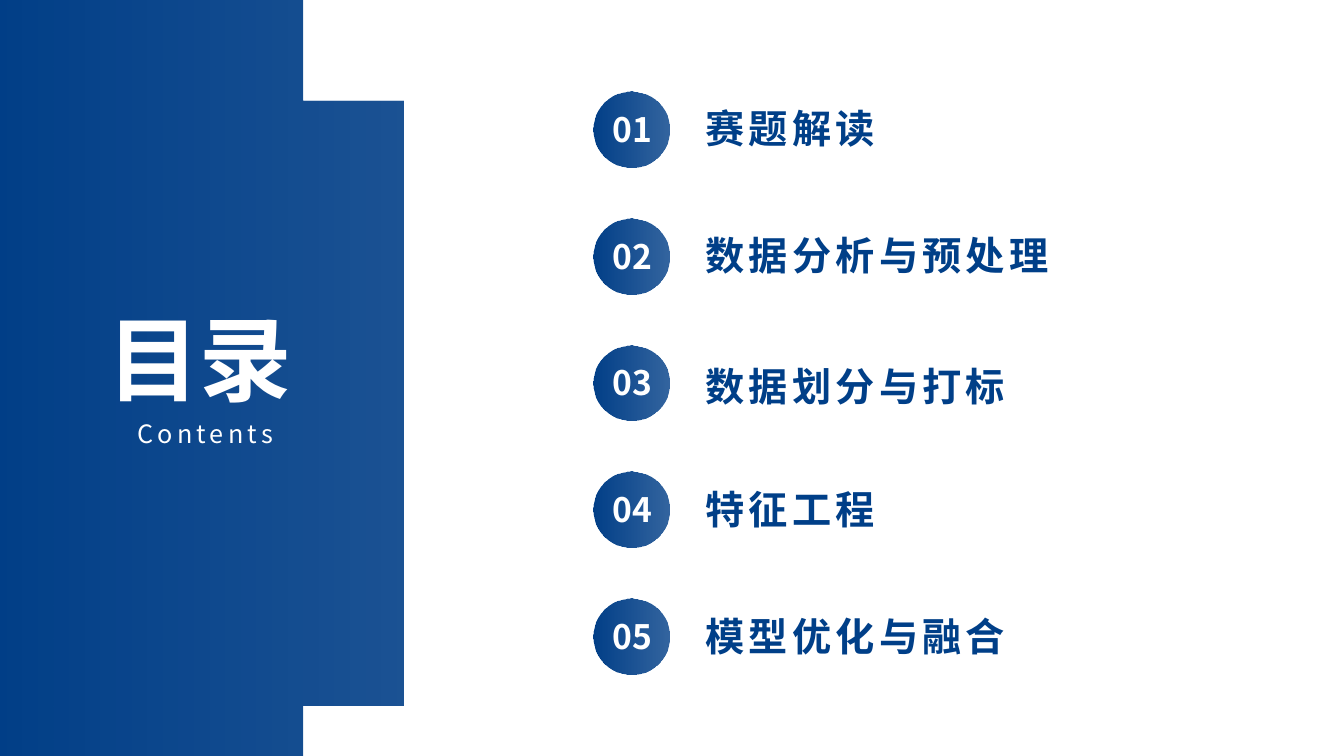
from lxml import etree
from pptx import Presentation
from pptx.dml.color import RGBColor
from pptx.enum.shapes import MSO_SHAPE
from pptx.enum.text import MSO_ANCHOR, MSO_AUTO_SIZE, PP_ALIGN
from pptx.oxml.ns import qn
from pptx.util import Inches, Pt

OVAL = MSO_SHAPE.OVAL
TOP = MSO_ANCHOR.TOP
GROW = MSO_AUTO_SIZE.SHAPE_TO_FIT_TEXT
LEFT, CENTER = PP_ALIGN.LEFT, PP_ALIGN.CENTER
NAVY = RGBColor(0x00, 0x3F, 0x88)
WHITE = RGBColor(0xFF, 0xFF, 0xFF)
FONT = "Noto Sans CJK SC"


def fade_navy(shape, opacity):
    """Solid navy on the left, fading to the given opacity on the right."""
    shape.shadow.inherit = False
    shape.line.fill.background()
    shape.fill.gradient()
    shape.fill.gradient_angle = 180
    for stop in shape.fill.gradient_stops:
        stop.color.rgb = NAVY
    right_color = shape._element.xpath(".//a:gs/a:srgbClr")[0]
    etree.SubElement(right_color, qn("a:alpha"), val=str(opacity * 1000))


def write(box, text, align, wrap, spacing, font_format):
    """Fill a box with one formatted line."""
    frame = box.text_frame
    frame.text = text
    frame.word_wrap = wrap
    frame.auto_size = GROW
    frame.vertical_anchor = TOP
    line = frame.paragraphs[0]
    line.alignment = align
    run = line.runs[0]
    for attribute, value in font_format.items():
        setattr(run.font, attribute, value)
    run.font.name = FONT
    properties = run._r.get_or_add_rPr()
    properties.set("spc", str(spacing * 100))
    etree.SubElement(properties, qn("a:ea"), typeface=FONT)


prs = Presentation()
prs.slide_width, prs.slide_height = Inches(13.33), Inches(7.5)
slide = prs.slides.add_slide(prs.slide_layouts[5])

# Curved panel: two Bezier arcs, mirrored about the middle of the slide
upper_arc = [(3.13, 0.01), (3.82, 0.94), (4.25, 2.27), (4.25, 3.75)]
STEPS = 40
upper_edge = []
for step in range(STEPS + 1):
    t = step / STEPS
    weights = ((1 - t) ** 3, 3 * t * (1 - t) ** 2, 3 * t ** 2 * (1 - t), t ** 3)
    upper_edge.append(tuple(
        sum(w * point[axis] for w, point in zip(weights, upper_arc))
        for axis in (0, 1)))
lower_edge = [(x, 7.5 - y) for x, y in reversed(upper_edge[:-1])]
outline = [(3.12, 0), *upper_edge, *lower_edge, (3.12, 7.5), (0, 7.5)]
builder = slide.shapes.build_freeform(0, 0, scale=Inches(1))
builder.add_line_segments(outline, close=True)
panel = builder.convert_to_shape()
fade_navy(panel, 90)
slide.shapes._spTree.insert(2, panel._element)  # behind the title

# Heading
heading = slide.shapes.title
heading.left, heading.top = Inches(0.89), Inches(2.73)
heading.width, heading.height = Inches(2.18), Inches(1.32)
write(heading, "目录", CENTER, True, 0,
      {"size": Pt(66), "bold": True, "color.rgb": WHITE} and
      {"size": Pt(66), "bold": True})
heading.text_frame.paragraphs[0].line_spacing = 1.2
heading.text_frame.paragraphs[0].runs[0].font.color.rgb = WHITE

subheading = slide.shapes.add_textbox(
    Inches(1.04), Inches(4.1), Inches(1.99), Inches(0.4))
write(subheading, "Contents", CENTER, True, 3, {"size": Pt(18)})
subheading.text_frame.paragraphs[0].runs[0].font.color.rgb = WHITE

# Chapters: name, top and width of the name
chapters = [
    ("赛题解读", 0.99, 1.94),
    ("数据分析与预处理", 2.25, 3.68),
    ("数据划分与打标", 3.55, 3.25),
    ("特征工程", 4.77, 1.94),
    ("模型优化与融合", 6.03, 3.25),
]
FIRST_TOP, LAST_TOP = 0.91, 5.94
pitch = (LAST_TOP - FIRST_TOP) / (len(chapters) - 1)
for index, (name, name_top, name_width) in enumerate(chapters):
    top = FIRST_TOP + index * pitch
    chapter = slide.shapes.add_group_shape().shapes
    disc = chapter.add_shape(
        OVAL, Inches(5.89), Inches(top), Inches(0.75), Inches(0.75))
    fade_navy(disc, 80)
    number = chapter.add_textbox(
        Inches(5.96), Inches(top + 0.12), Inches(0.62), Inches(0.5))
    write(number, f"{index + 1:02}", CENTER, False, 0,
          {"size": Pt(24), "bold": True})
    number.text_frame.paragraphs[0].runs[0].font.color.rgb = WHITE
    label = chapter.add_textbox(
        Inches(6.9), Inches(name_top), Inches(name_width), Inches(0.57))
    write(label, name, LEFT, False, 3, {"size": Pt(28), "bold": True})
    label.text_frame.paragraphs[0].runs[0].font.color.rgb = NAVY

prs.save("out.pptx")
